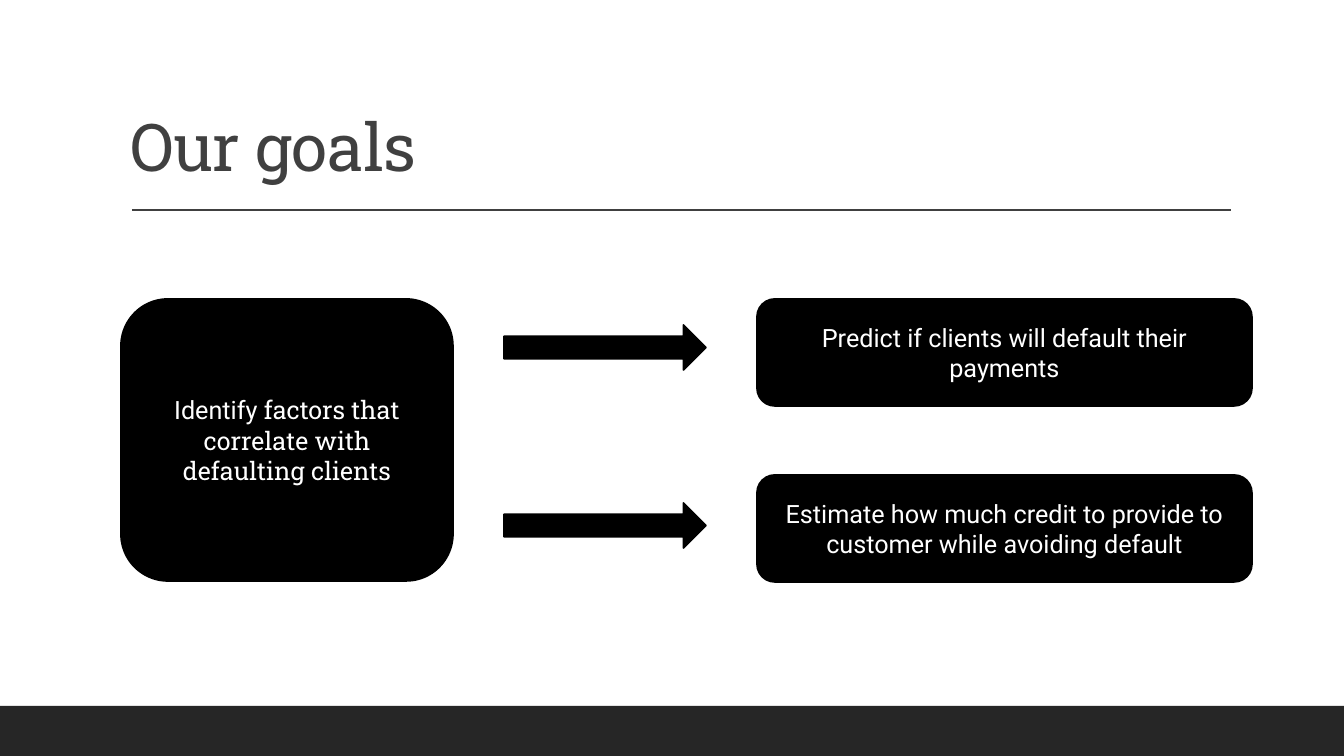
"""Build the "Our goals" slide: one finding leading to two goals."""
from dataclasses import dataclass

from pptx import Presentation
from pptx.dml.color import RGBColor
from pptx.enum.shapes import MSO_CONNECTOR as Connector, MSO_SHAPE as Preset
from pptx.enum.text import MSO_ANCHOR as Anchor, PP_ALIGN as Align
from pptx.oxml.ns import qn
from pptx.shapes.autoshape import Shape
from pptx.slide import Slide
from pptx.text.text import Font
from pptx.util import Emu, Pt
from lxml.etree import SubElement

EMU_PER_PX = 914400 / 100.8
SLIDE_W, SLIDE_H = 1344, 756
COLORS = {
    "footer": "262626",
    "title": "404040",
    "block": "000000",
    "block_text": "FFFFFF",
}
SANS, SLAB = "Roboto", "Roboto Slab"
ROWS_TOP, ROW_STEP = 299, 176
ARROWS_TOP, ARROW_STEP = 325, 178


@dataclass(frozen=True)
class Box:
    left: int
    top: int
    width: int
    height: int

    def emu(self) -> tuple[Emu, Emu, Emu, Emu]:
        return px(self.left), px(self.top), px(self.width), px(self.height)


@dataclass(frozen=True)
class Block:
    box: Box
    preset: Preset
    phrases: tuple[tuple[str, str], ...] = ()


GOALS = (
    "Predict if clients will default their payments",
    "Estimate how much credit to provide to customer while avoiding default",
)
FINDING = Block(
    Box(121, ROWS_TOP, 332, 282),
    Preset.ROUNDED_RECTANGLE,
    (("Identify", SANS), (" factors that correlate with defaulting clients", SLAB)),
)


def px(length: int) -> Emu:
    return Emu(round(length * EMU_PER_PX))


def color(name: str) -> RGBColor:
    return RGBColor.from_string(COLORS[name])


def style_font(font: Font, face: str, size: int, color_name: str) -> None:
    font.name = face
    font.size = Pt(size)
    font.color.rgb = color(color_name)


def draw_shape(slide: Slide, preset: Preset, box: Box, fill: str) -> Shape:
    shape = slide.shapes.add_shape(preset, *box.emu())
    shape.shadow.inherit = False
    shape.fill.solid()
    shape.fill.fore_color.rgb = color(fill)
    shape.line.fill.background()
    return shape


def draw_block(slide: Slide, block: Block) -> None:
    shape = draw_shape(slide, block.preset, block.box, "block")
    shape.line.color.rgb = color("block")
    shape.line.width = Pt(1.25)
    frame = shape.text_frame
    frame.word_wrap = True
    frame.vertical_anchor = Anchor.MIDDLE
    paragraph = frame.paragraphs[0]
    paragraph.alignment = Align.CENTER
    for text, face in block.phrases:
        run = paragraph.add_run()
        run.text = text
        style_font(run.font, face, 18, "block_text")


def draw_title(slide: Slide) -> None:
    title = slide.shapes.add_textbox(*Box(121, 31, 1109, 160).emu())
    frame = title.text_frame
    frame.word_wrap = True
    frame.vertical_anchor = Anchor.BOTTOM
    frame.text = "Our goals"
    paragraph = frame.paragraphs[0]
    paragraph.line_spacing = 0.9
    run = paragraph.runs[0]
    style_font(run.font, SLAB, 47, "title")
    run._r.get_or_add_rPr().set("spc", "-50")


def draw_title_rule(slide: Slide) -> None:
    rule = slide.shapes.add_connector(
        Connector.STRAIGHT, px(132), px(210), px(1231), px(210)
    )
    rule.line.color.rgb = color("title")
    rule.line.width = Pt(1)
    SubElement(rule._element.spPr, qn("a:effectLst"))


def main() -> None:
    prs = Presentation()
    prs.slide_width, prs.slide_height = px(SLIDE_W), px(SLIDE_H)
    slide = prs.slides.add_slide(prs.slide_layouts[6])

    draw_shape(slide, Preset.RECTANGLE, Box(0, 706, SLIDE_W, 50), "footer")
    draw_title_rule(slide)
    draw_title(slide)
    draw_block(slide, FINDING)
    for row, goal in enumerate(GOALS):
        arrow_box = Box(504, ARROWS_TOP + row * ARROW_STEP, 202, 45)
        goal_box = Box(757, ROWS_TOP + row * ROW_STEP, 495, 107)
        draw_block(slide, Block(arrow_box, Preset.RIGHT_ARROW))
        draw_block(slide, Block(goal_box, Preset.ROUNDED_RECTANGLE, ((goal, SANS),)))

    prs.save("out.pptx")


if __name__ == "__main__":
    main()
